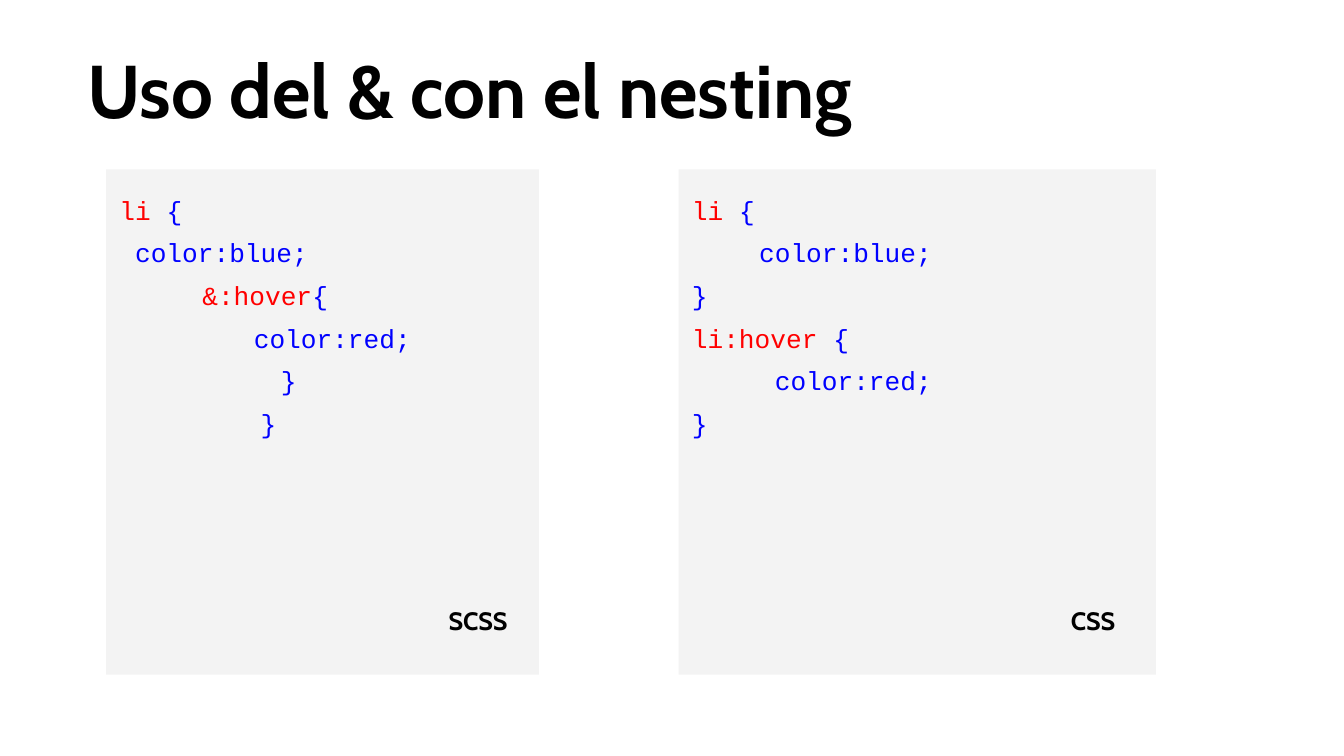
import dataclasses
import typing

import pptx
import pptx.dml.color
import pptx.enum.shapes
import pptx.enum.text
import pptx.util

SLIDE_WIDTH = pptx.util.Inches(10)
SLIDE_HEIGHT = pptx.util.Inches(5.625)
RED, BLUE, BLACK, GREY = "FF0000", "0000FF", "000000", "F3F3F3"
CODE_FONT = {"name": "Courier New", "size": pptx.util.Pt(14)}
TITLE_FONT = {"name": "Cabin", "size": pptx.util.Pt(40), "bold": True}
LABEL_FONT = {"name": "Cabin", "size": pptx.util.Pt(13.5), "bold": True}
JUSTIFY = pptx.enum.text.PP_ALIGN.JUSTIFY
CODE_PARAGRAPH = {"alignment": JUSTIFY, "line_spacing": 1.36}
LABEL_PARAGRAPH = {
    "alignment": JUSTIFY,
    "line_spacing": 1.15,
    "space_after": pptx.util.Pt(8),
}
PANEL_TOP, PANEL_HEIGHT = 22.4, 66.84
LABEL_TOP, LABEL_WIDTH, LABEL_HEIGHT = 77.69, 11.7, 9.78


class Piece(typing.NamedTuple):
    """A stretch of text in one colour."""

    text: str
    color: str = BLUE


@dataclasses.dataclass
class Line:
    """One paragraph, with its margin and first-line indent in inches."""

    pieces: list[Piece]
    margin: float = 0
    indent: float = 0


@dataclasses.dataclass
class Panel:
    """A code panel and its language label, in percent of the slide width."""

    left: float
    width: float
    label: str
    label_left: float
    lines: list[Line]


PANELS = [
    Panel(50.5, 35.5, "CSS", 78.7, [
        Line([Piece("li", RED), Piece(" {")]),
        Line([Piece("color:blue;")], indent=0.5),
        Line([Piece("}")]),
        Line([Piece("li:hover", RED), Piece(" {")]),
        Line([Piece(" color:red;")], margin=0.5),
        Line([Piece("}")]),
    ]),
    Panel(7.9, 32.2, "SCSS", 32.4, [
        Line([Piece("li ", RED), Piece("{")]),
        Line([Piece(" color:blue;")]),
        Line([Piece(" \t "), Piece("&:hover", RED), Piece("{")]),
        Line([Piece("   \t\tcolor:red;")]),
        Line([Piece("   \t      }")]),
        Line([Piece("         }")]),
    ]),
]


def rgb(color: str) -> pptx.dml.color.RGBColor:
    """Turn a hex string into a colour."""
    return pptx.dml.color.RGBColor.from_string(color)


def apply_format(target: typing.Any, values: dict) -> None:
    """Set every attribute named in the format values."""
    for name, value in values.items():
        setattr(target, name, value)


def place(left: float, top: float, width: float, height: float) -> list[int]:
    """Turn percentages of the slide into lengths."""
    sides = (SLIDE_WIDTH, SLIDE_HEIGHT) * 2
    return [round(side * share / 100) for side, share in zip(sides, (left, top, width, height))]


def write_lines(shape: typing.Any, lines: list[Line], font: dict, layout: dict) -> None:
    """Fill a shape with formatted lines of text."""
    frame = shape.text_frame
    margins = dict.fromkeys(
        ("margin_left", "margin_top", "margin_right", "margin_bottom"), pptx.util.Inches(0.1)
    )
    apply_format(frame, margins)
    apply_format(frame, {"word_wrap": True, "vertical_anchor": pptx.enum.text.MSO_ANCHOR.TOP})
    for index, line in enumerate(lines):
        paragraph = frame.add_paragraph() if index else frame.paragraphs[0]
        apply_format(paragraph, layout)
        properties = paragraph._p.get_or_add_pPr()
        properties.set("marL", str(pptx.util.Inches(line.margin)))
        properties.set("indent", str(pptx.util.Inches(line.indent)))
        for piece in line.pieces:
            run = paragraph.add_run()
            run.text = piece.text
            apply_format(run.font, font)
            run.font.color.rgb = rgb(piece.color)


def draw_panel(slide: typing.Any, panel: Panel) -> None:
    """Draw the grey rectangle with its code."""
    shape = slide.shapes.add_shape(
        pptx.enum.shapes.MSO_SHAPE.RECTANGLE,
        *place(panel.left, PANEL_TOP, panel.width, PANEL_HEIGHT),
    )
    shape.shadow.inherit = False
    shape.fill.solid()
    shape.fill.fore_color.rgb = rgb(GREY)
    shape.line.fill.background()
    write_lines(shape, panel.lines, CODE_FONT, CODE_PARAGRAPH)


def draw_text(slide: typing.Any, text: str, box: list[int], font: dict, layout: dict) -> None:
    """Draw a one-line black text box."""
    shape = slide.shapes.add_textbox(*box)
    write_lines(shape, [Line([Piece(text, BLACK)])], font, layout)


def main() -> None:
    """Build and save the slide."""
    presentation = pptx.Presentation()
    apply_format(presentation, {"slide_width": SLIDE_WIDTH, "slide_height": SLIDE_HEIGHT})
    slide = presentation.slides.add_slide(presentation.slide_layouts[6])
    for panel in PANELS:
        draw_panel(slide, panel)
    title_box = place(5.5, 5.33, 89, 14.4)
    draw_text(slide, "Uso del & con el nesting", title_box, TITLE_FONT, {"line_spacing": 0.9})
    for panel in PANELS:
        label_box = place(panel.label_left, LABEL_TOP, LABEL_WIDTH, LABEL_HEIGHT)
        draw_text(slide, panel.label, label_box, LABEL_FONT, LABEL_PARAGRAPH)
    presentation.save("out.pptx")


if __name__ == "__main__":
    main()
